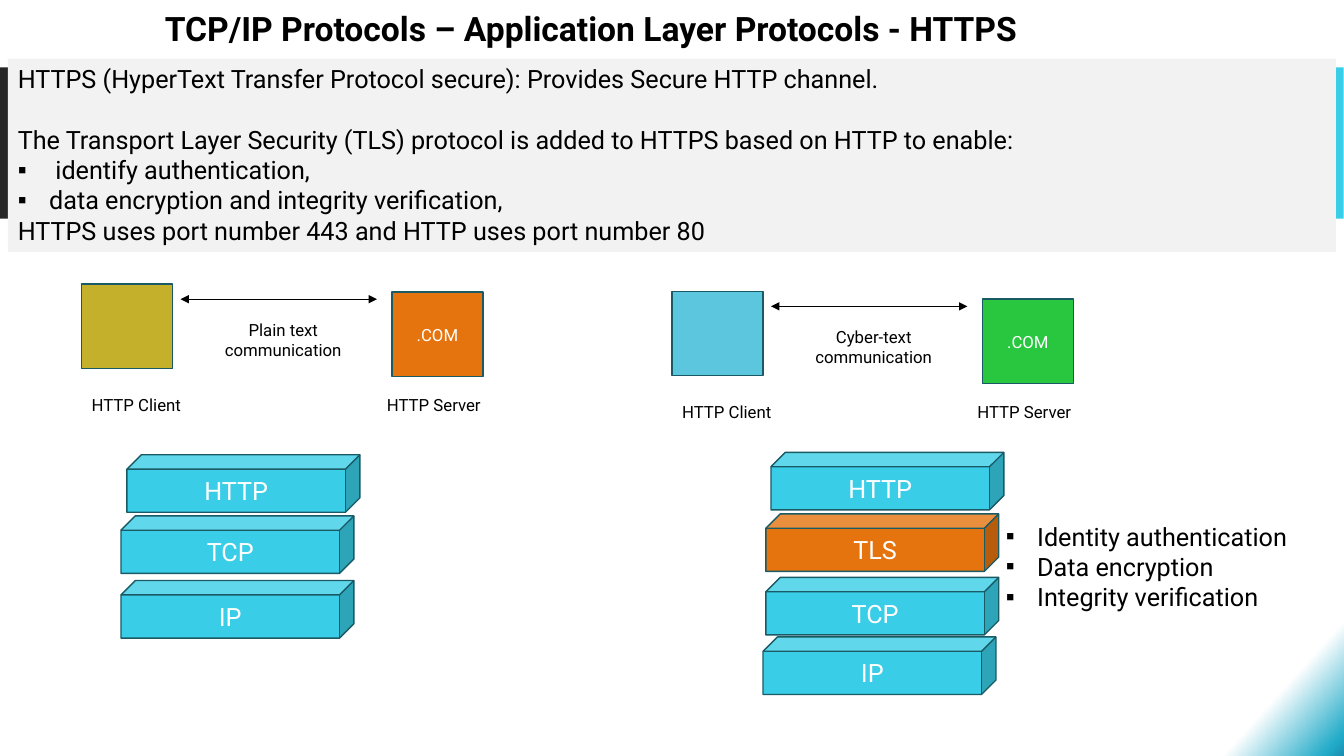
from copy import deepcopy

from pptx import Presentation
from pptx import util as u
from pptx.dml.color import RGBColor
from pptx.enum import shapes, text
from pptx.oxml.ns import qn
from lxml import etree

COLORS = {
    "black": "000000", "white": "FFFFFF", "dark": "262626", "cyan": "39CDE7",
    "panel": "F2F2F2", "outline": "195A65", "olive": "C5B02B",
    "orange": "E5730E", "sky": "5BC6DD", "green": "29C63F",
    "teal": "21ABC8", "blue": "1C8DB1", "navy": "0C2263",
}
RECT = shapes.MSO_SHAPE.RECTANGLE
CUBE = shapes.MSO_SHAPE.CUBE
LEFT, CENTER = text.PP_ALIGN.LEFT, text.PP_ALIGN.CENTER
TOP, MIDDLE = text.MSO_ANCHOR.TOP, text.MSO_ANCHOR.MIDDLE


def color(name):
    return RGBColor.from_string(COLORS[name])


def lengths(values):
    return [u.Cm(value) for value in values]


class SlideBuilder:
    """Holds the style, the current slide and the shapes being drawn into."""

    font = "Roboto"

    def __init__(self, deck):
        self.page = deck.slides.add_slide(deck.slide_layouts[5])
        self.canvas = self.page.shapes

    def group(self):
        self.canvas = self.page.shapes.add_group_shape().shapes

    def ungroup(self):
        self.canvas = self.page.shapes

    def background(self, stops, angle):
        fill = self.page.background.fill
        fill.gradient()
        fill.gradient_angle = angle
        stop_list = next(self.page.element.iter(qn("a:gsLst")))
        while len(stop_list) < len(stops):
            stop_list.append(deepcopy(stop_list[0]))
        for stop, (position, name) in zip(fill.gradient_stops, stops):
            stop.position = position
            stop.color.rgb = color(name)

    def set_text(self, box, words, size, name="black", align=LEFT, anchor=TOP, bold=False):
        frame = box.text_frame
        frame.text = words
        frame.word_wrap = True
        frame.vertical_anchor = anchor
        for para in frame.paragraphs:
            para.alignment = align
            for span in para.runs:
                span.font.name = self.font
                span.font.size = u.Pt(size)
                span.font.bold = bold
                span.font.color.rgb = color(name)

    def bullets(self, paras):
        for para in paras:
            properties = para._p.get_or_add_pPr()
            properties.set("marL", str(u.Cm(0.79)))
            properties.set("indent", str(u.Cm(-0.79)))
            etree.SubElement(properties, qn("a:buFont"), typeface="Arial")
            etree.SubElement(properties, qn("a:buChar"), char="▪")

    def title(self, words, place):
        box = self.page.shapes.title
        box.left, box.top, box.width, box.height = lengths(place)
        self.set_text(box, words, 24, align=CENTER, anchor=MIDDLE, bold=True)
        box.text_frame.auto_size = text.MSO_AUTO_SIZE.NONE
        box.text_frame.paragraphs[0].line_spacing = 0.9

    def shape(self, kind, place, fill, line=None):
        box = self.canvas.add_shape(kind, *lengths(place))
        box.shadow.inherit = False
        box.fill.solid()
        box.fill.fore_color.rgb = color(fill)
        if line:
            box.line.color.rgb = color(line)
            box.line.width = u.Pt(1)
        else:
            box.line.fill.background()
        return box

    def block(self, kind, place, fill, words="", size=18):
        box = self.shape(kind, place, fill, "outline")
        self.set_text(box, words, size, "white", CENTER, MIDDLE)

    def label(self, place, words, size=12, align=LEFT):
        box = self.canvas.add_textbox(*lengths(place))
        self.set_text(box, words, size, align=align)
        return box

    def double_arrow(self, start, end, y):
        arrow = self.canvas.add_connector(
            shapes.MSO_CONNECTOR.STRAIGHT, *lengths((start, y, end, y)))
        arrow.line.color.rgb = color("black")
        arrow.line.width = u.Pt(0.75)
        properties = arrow.element.spPr
        for tag in ("a:headEnd", "a:tailEnd"):
            etree.SubElement(properties.find(qn("a:ln")), qn(tag), type="triangle")
        etree.SubElement(properties, qn("a:effectLst"))

    def exchange(self, x, y, client, server, message):
        self.group()
        self.block(RECT, (x, y, 2.29, 2.13), client)
        self.block(RECT, (x + 7.82, y + 0.2, 2.29, 2.13), server, ".COM", 12)
        self.label((x, y + 2.67, 3.02, 0.76), "HTTP Client")
        self.label((x + 7.44, y + 2.67, 3.02, 0.76), "HTTP Server")
        self.double_arrow(x + 2.49, x + 7.44, y + 0.38)
        self.label((x + 2.49, y + 0.76, 5.18, 1.27), message, align=CENTER)
        self.ungroup()

    def stack(self, layers):
        self.group()
        for words, x, y in layers:
            fill = "orange" if words == "TLS" else "cyan"
            self.block(CUBE, (x, y, 5.87, 1.45), fill, words)
        self.ungroup()


def main():
    deck = Presentation()
    deck.slide_width, deck.slide_height = lengths((33.87, 19.05))
    slide = SlideBuilder(deck)
    slide.background([(0.94, "white"), (0.99, "teal"), (1, "blue"), (1, "navy")], 318)
    slide.title("TCP/IP Protocols – Application Layer Protocols - HTTPS",
                (0.2, 0, 29.39, 1.52))
    slide.shape(RECT, (0, 1.7, 28.98, 3.81), "dark")
    slide.shape(RECT, (29.41, 1.7, 4.45, 3.81), "cyan")

    panel = slide.shape(RECT, (0.2, 1.48, 33.47, 4.87), "panel")
    slide.set_text(panel, "\n".join([
        "HTTPS (HyperText Transfer Protocol secure): Provides Secure HTTP channel.",
        "The Transport Layer Security (TLS) protocol is added to HTTPS based on HTTP to enable:",
        " identify authentication,",
        "data encryption and integrity verification,",
        "HTTPS uses port number 443 and HTTP uses port number 80",
    ]), 18)
    paras = panel.text_frame.paragraphs
    paras[1].space_before = u.Pt(21.6)
    slide.bullets(paras[2:4])

    slide.exchange(16.94, 7.34, "sky", "green", "Cyber-text communication")
    slide.exchange(2.06, 7.16, "olive", "orange", "Plain text communication")
    slide.stack([("HTTP", 3.2, 11.46), ("TCP", 3.05, 13), ("IP", 3.05, 14.63)])
    slide.stack([("HTTP", 19.43, 11.4), ("TLS", 19.3, 12.95),
                 ("TCP", 19.3, 14.55), ("IP", 19.23, 16.05)])

    benefits = slide.label((25.1, 13, 8.59, 2.57),
                           "Identity authentication\nData encryption\nIntegrity verification", 18)
    slide.bullets(benefits.text_frame.paragraphs)
    deck.save("out.pptx")


if __name__ == "__main__":
    main()
